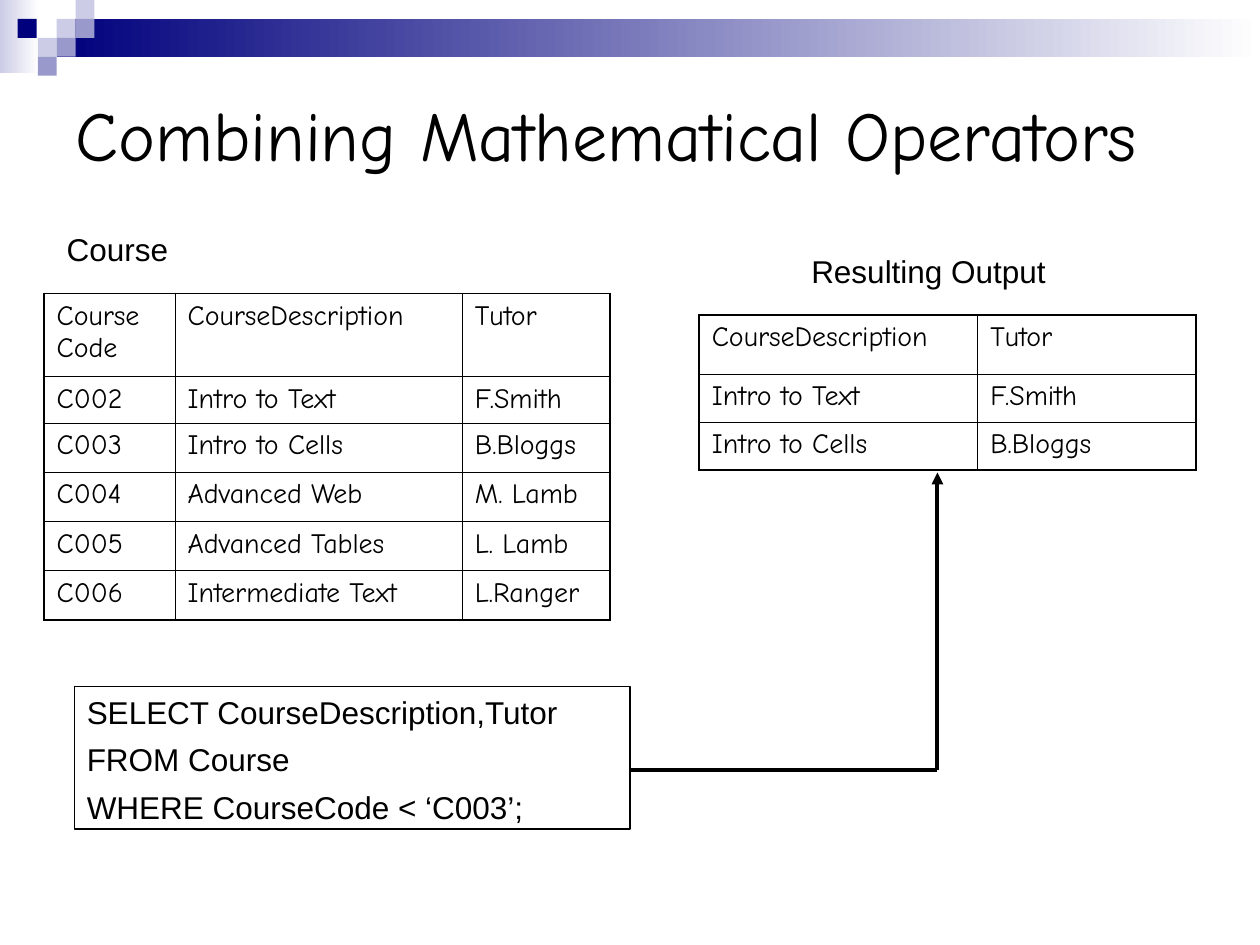
import pptx
import pptx.dml.color
import pptx.enum.shapes
import pptx.enum.text
import pptx.oxml
import pptx.oxml.ns
import pptx.util
from pptx.util import Inches

BLACK = pptx.dml.color.RGBColor(0x00, 0x00, 0x00)
WHITE = pptx.dml.color.RGBColor(0xFF, 0xFF, 0xFF)
NAVY = pptx.dml.color.RGBColor(0x00, 0x00, 0x7D)
LILAC = pptx.dml.color.RGBColor(0xCC, 0xCC, 0xE6)
VIOLET = pptx.dml.color.RGBColor(0x99, 0x99, 0xCC)

HEAD_FONT, BODY_FONT = "Comic Neue", "Arial"
OUTER_LINE, INNER_LINE = 1.08, 0.45
RECTANGLE = pptx.enum.shapes.MSO_SHAPE.RECTANGLE
TOP = pptx.enum.text.MSO_ANCHOR.TOP
MIDDLE = pptx.enum.text.MSO_ANCHOR.MIDDLE
A_NS = pptx.oxml.ns.nsdecls("a")

HEADER_SQUARES = [
    (0.45, 0.15, LILAC), (0.6, 0, LILAC), (0.6, 0.15, VIOLET), (0.3, 0.3, LILAC),
    (0.14, 0.15, NAVY), (0.45, 0.3, VIOLET), (0.3, 0.45, VIOLET),
]
COURSES = [
    ("Course Code", "CourseDescription", "Tutor"),
    ("C002", "Intro to Text", "F.Smith"),
    ("C003", "Intro to Cells", "B.Bloggs"),
    ("C004", "Advanced Web", "M. Lamb"),
    ("C005", "Advanced Tables", "L. Lamb"),
    ("C006", "Intermediate Text", "L.Ranger"),
]
OUTPUT = [row[1:] for row in COURSES[:3]]
QUERY = [
    "SELECT CourseDescription,Tutor",
    "FROM Course",
    "WHERE CourseCode < ‘C003’;",
]


class SlideBuilder:
    def __init__(self, s):
        self.s = s

    def set_text(self, tf, lines, size, font, space=0):
        tf.word_wrap = True
        for i, line in enumerate(lines):
            p = tf.paragraphs[0] if i == 0 else tf.add_paragraph()
            p.text = line
            p.alignment = pptx.enum.text.PP_ALIGN.LEFT
            if i:
                p.space_before = pptx.util.Pt(space)
            p.font.size = pptx.util.Pt(size)
            p.font.name = font
            p.font.color.rgb = BLACK

    def rect(self, x, y, w, h, color=None, fade=False):
        """Add a borderless rectangle, solid or fading to white rightwards."""
        sp = self.s.shapes.add_shape(RECTANGLE, Inches(x), Inches(y), Inches(w), Inches(h))
        sp.shadow.inherit = False
        sp.line.fill.background()
        if fade:
            sp.fill.gradient()
            sp.fill.gradient_angle = 0
            for stop, rgb in zip(sp.fill.gradient_stops, (color, WHITE)):
                stop.color.rgb = rgb
        elif color is not None:
            sp.fill.solid()
            sp.fill.fore_color.rgb = color
        else:
            sp.fill.background()
        return sp

    def text(self, x, y, w, h, line, size=18, font=BODY_FONT, anchor=TOP):
        sp = self.s.shapes.add_textbox(Inches(x), Inches(y), Inches(w), Inches(h))
        sp.text_frame.vertical_anchor = anchor
        self.set_text(sp.text_frame, [line], size, font)

    def code_box(self, x, y, w, h, lines):
        sp = self.rect(x, y, w, h)
        sp.line.color.rgb = BLACK
        sp.line.width = pptx.util.Pt(0.75)
        sp.text_frame.vertical_anchor = TOP
        self.set_text(sp.text_frame, lines, 18, BODY_FONT, space=5.6)

    def line(self, x1, y1, x2, y2, arrow=False):
        cxn = self.s.shapes.add_connector(
            pptx.enum.shapes.MSO_CONNECTOR.STRAIGHT,
            Inches(x1), Inches(y1), Inches(x2), Inches(y2))
        cxn.line.color.rgb = BLACK
        cxn.line.width = pptx.util.Pt(2.25)
        if arrow:
            cxn.get_or_add_ln().append(
                pptx.oxml.parse_xml(f'<a:tailEnd {A_NS} type="triangle"/>'))
        cxn._element.spPr.append(pptx.oxml.parse_xml(f"<a:effectLst {A_NS}/>"))

    def borders(self, cell, widths):
        """Set border widths in points, ordered left, right, top, bottom."""
        tc_pr = cell._tc.get_or_add_tcPr()
        for i, (side, width) in enumerate(zip("LRTB", widths)):
            tc_pr.insert(i, pptx.oxml.parse_xml(
                f'<a:ln{side} {A_NS} w="{int(pptx.util.Pt(width))}">'
                f'<a:solidFill><a:srgbClr val="{BLACK}"/></a:solidFill></a:ln{side}>'))

    def table(self, x, y, col_widths, row_heights, rows):
        frame = self.s.shapes.add_table(
            len(rows), len(col_widths), Inches(x), Inches(y),
            Inches(sum(col_widths)), Inches(sum(row_heights)))
        tbl = frame.table
        tbl.first_row = tbl.horz_banding = False
        for col, width in zip(tbl.columns, col_widths):
            col.width = Inches(width)
        for row, height in zip(tbl.rows, row_heights):
            row.height = Inches(height)
        last_row, last_col = len(rows) - 1, len(col_widths) - 1
        for i, values in enumerate(rows):
            for j, value in enumerate(values):
                cell = tbl.cell(i, j)
                cell.fill.background()
                self.set_text(cell.text_frame, [value], 16, HEAD_FONT)
                on_edge = (j == 0, j == last_col, i == 0, i == last_row)
                self.borders(cell, [OUTER_LINE if e else INNER_LINE for e in on_edge])


def main():
    prs = pptx.Presentation()
    prs.slide_width, prs.slide_height = Inches(10), Inches(7.5)
    b = SlideBuilder(prs.slides.add_slide(prs.slide_layouts[6]))

    b.rect(0, 0, 0.31, 0.58, LILAC, fade=True)
    b.rect(0.45, 0.15, 9.55, 0.3, NAVY, fade=True)
    for x, y, color in HEADER_SQUARES:
        b.rect(x, y, 0.15, 0.15, color)

    b.text(0.5, 0.5, 9, 1.12, "Combining Mathematical Operators", 40, HEAD_FONT, MIDDLE)
    b.table(0.35, 2.33, [1.04, 2.28, 1.17], [0.66, 0.37] + [0.39] * 4, COURSES)
    b.text(0.43, 1.78, 2.91, 0.4, "Course")
    b.text(6.34, 1.95, 2.91, 0.4, "Resulting Output")
    b.code_box(0.59, 5.45, 4.41, 1.13, QUERY)
    b.line(5, 6.11, 7.44, 6.11)
    b.line(7.44, 6.11, 7.44, 3.75, arrow=True)
    b.table(5.55, 2.5, [2.21, 1.73], [0.47, 0.38, 0.38], OUTPUT)

    prs.save("out.pptx")


if __name__ == "__main__":
    main()
